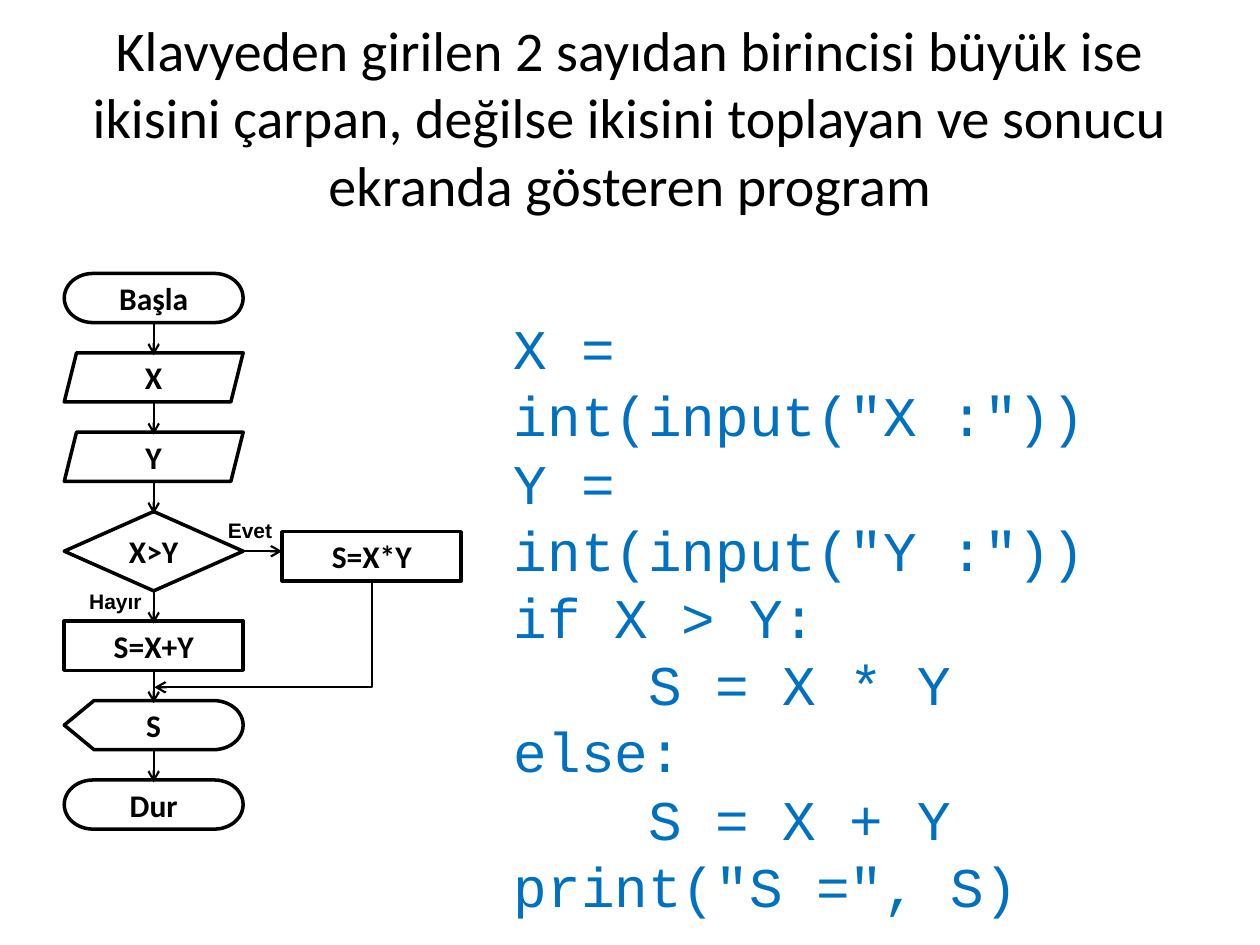
import pptx
import pptx.util
import pptx.oxml
import pptx.oxml.ns
from pptx.dml.color import RGBColor
from pptx.enum.shapes import MSO_CONNECTOR, MSO_SHAPE
from pptx.enum.text import MSO_ANCHOR, MSO_AUTO_SIZE, PP_ALIGN
from pptx.util import Inches, Pt

# Content
COLORS = {"ink": "000000", "paper": "FFFFFF", "code": "0070C0"}
TITLE = ("Klavyeden girilen 2 sayıdan birincisi büyük ise ikisini çarpan, "
         "değilse ikisini toplayan ve sonucu ekranda gösteren program")
STEP_HEIGHT, DECISION_HEIGHT = 0.39, 0.63
FLOW_STEPS = [  # text, preset, height, filled
    ("Başla", MSO_SHAPE.FLOWCHART_TERMINATOR, STEP_HEIGHT, False),
    ("X", MSO_SHAPE.PARALLELOGRAM, STEP_HEIGHT, True),
    ("Y", MSO_SHAPE.PARALLELOGRAM, STEP_HEIGHT, True),
    ("X>Y", MSO_SHAPE.FLOWCHART_DECISION, DECISION_HEIGHT, True),
    ("S=X+Y", MSO_SHAPE.FLOWCHART_PROCESS, STEP_HEIGHT, True),
    ("S", MSO_SHAPE.FLOWCHART_DISPLAY, STEP_HEIGHT, True),
    ("Dur", MSO_SHAPE.FLOWCHART_TERMINATOR, STEP_HEIGHT, False),
]
BRANCH_LABELS = [("Hayır", 0.61, 4.62), ("Evet", 1.71, 4.06)]
CODE = [
    'X = int(input("X :"))',
    'Y = int(input("Y :"))',
    "if X > Y:",
    "    S = X * Y",
    "else:",
    "    S = X + Y",
    'print("S =", S)',
]

# Flowchart grid
FLOW_LEFT, FLOW_TOP, STEP_WIDTH, GAP = 0.51, 2.17, 1.42, 0.24
ARROW_LENGTH = 0.26
BRANCH_LEFT, BRANCH_TOP = 2.24, 4.22
CENTER = FLOW_LEFT + STEP_WIDTH / 2

presentation = pptx.Presentation()
presentation.slide_width, presentation.slide_height = Inches(10), Inches(7.5)
slide = presentation.slides.add_slide(presentation.slide_layouts[5])


def color(name):
    return RGBColor.from_string(COLORS[name])


def set_font(paragraph, name, size, ink="ink", bold=False):
    font = paragraph.font
    font.name, font.size, font.bold = name, Pt(size), bold
    font.color.rgb = color(ink)


def add_step(text, preset, left, top, height, filled=True):
    shape = slide.shapes.add_shape(
        preset, Inches(left), Inches(top), Inches(STEP_WIDTH), Inches(height))
    shape.shadow.inherit = False
    if filled:
        shape.fill.solid()
        shape.fill.fore_color.rgb = color("paper")
    else:
        shape.fill.background()
    shape.line.color.rgb = color("ink")
    shape.line.width = Pt(2)
    frame = shape.text_frame
    frame.margin_left = frame.margin_right = 0
    frame.margin_top = frame.margin_bottom = 0
    frame.vertical_anchor = MSO_ANCHOR.MIDDLE
    frame.text = text
    frame.paragraphs[0].alignment = PP_ALIGN.CENTER
    set_font(frame.paragraphs[0], "Calibri", 18, bold=True)


def add_arrow(start, end, kind=MSO_CONNECTOR.STRAIGHT):
    arrow = slide.shapes.add_connector(
        kind, *(Inches(value) for value in (*start, *end)))
    arrow.line.color.rgb = color("ink")
    arrow.line.width = Pt(1.25)
    head = pptx.oxml.parse_xml(
        f'<a:tailEnd {pptx.oxml.ns.nsdecls("a")} type="arrow"/>')
    arrow.line._get_or_add_ln().append(head)
    effects = pptx.oxml.parse_xml(f'<a:effectLst {pptx.oxml.ns.nsdecls("a")}/>')
    arrow._element.spPr.append(effects)
    return arrow


def add_text(lines, left, top, width, height):
    box = slide.shapes.add_textbox(
        Inches(left), Inches(top), Inches(width), Inches(height))
    box.text_frame.word_wrap = True
    box.text_frame.auto_size = MSO_AUTO_SIZE.SHAPE_TO_FIT_TEXT
    box.text_frame.text = "\n".join(lines)
    return box.text_frame.paragraphs


# Title
title = slide.shapes.title
title.left, title.top = Inches(0.5), Inches(0.3)
title.width, title.height = Inches(9), Inches(1.25)
title.text_frame.text = TITLE
title.text_frame.vertical_anchor = MSO_ANCHOR.MIDDLE
title.text_frame.paragraphs[0].alignment = PP_ALIGN.CENTER
set_font(title.text_frame.paragraphs[0], "Calibri", 32)

# Main column of steps
top = FLOW_TOP
bottoms = []
for text, preset, height, filled in FLOW_STEPS:
    add_step(text, preset, FLOW_LEFT, top, height, filled)
    bottoms.append(top + height)
    top += height + GAP
for bottom in bottoms[:-1]:
    add_arrow((CENTER, bottom), (CENTER, bottom + ARROW_LENGTH))

# Yes branch
add_step("S=X*Y", MSO_SHAPE.FLOWCHART_PROCESS, BRANCH_LEFT, BRANCH_TOP, STEP_HEIGHT)
decision_middle = bottoms[3] - DECISION_HEIGHT / 2
add_arrow((FLOW_LEFT + STEP_WIDTH, decision_middle), (BRANCH_LEFT, decision_middle))

# Return elbow: a one-bend connector turned by a quarter
elbow = add_arrow((1.67, 4.17), (2.51, 5.9), MSO_CONNECTOR.ELBOW)
properties = elbow._element.spPr
properties.find(pptx.oxml.ns.qn("a:prstGeom")).set("prst", "bentConnector2")
properties.find(pptx.oxml.ns.qn("a:xfrm")).set("rot", str(90 * 60000))

# Branch labels
for text, left, label_top in BRANCH_LABELS:
    set_font(add_text([text], left, label_top, 0.67, 0.5)[0], "Arial", 12, bold=True)

# Program code
for paragraph in add_text(CODE, 3.98, 2.44, 5.52, 3.87):
    set_font(paragraph, "Courier New", 32, "code")

presentation.save("out.pptx")
